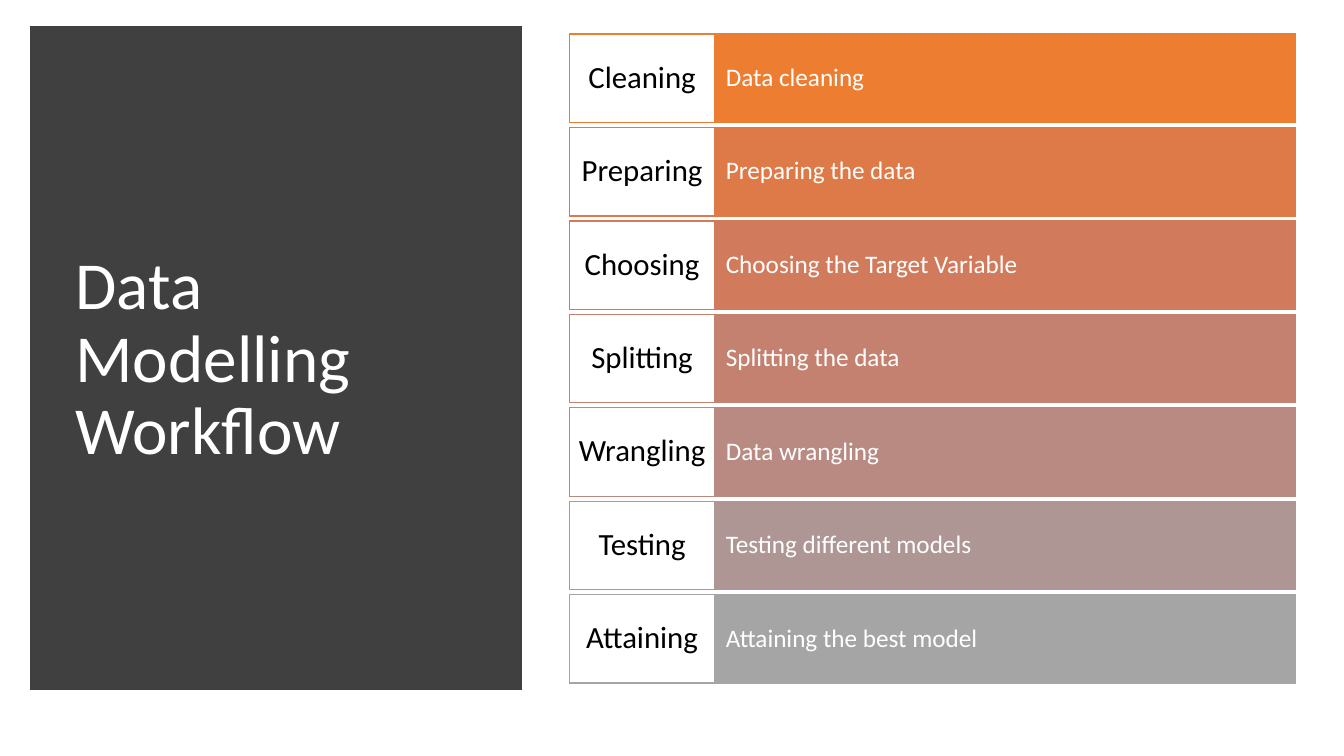
"""Build the data modelling workflow slide."""
from dataclasses import dataclass

import pptx
import pptx.dml.color
import pptx.enum.shapes
import pptx.enum.text
import pptx.oxml.ns
import pptx.util
from lxml import etree

Pt = pptx.util.Pt
Align = pptx.enum.text.PP_ALIGN

TITLE = "Data Modelling Workflow"
STEPS = [
    ("Cleaning", "Data cleaning", "ED7D31"),
    ("Preparing", "Preparing the data", "DE7A47"),
    ("Choosing", "Choosing the Target Variable", "D17B5C"),
    ("Splitting", "Splitting the data", "C48170"),
    ("Wrangling", "Data wrangling", "B98A82"),
    ("Testing", "Testing different models", "AE9694"),
    ("Attaining", "Attaining the best model", "A5A5A5"),
]


@dataclass(frozen=True)
class Theme:
    """Colours, font and type sizes."""
    font: str = "Calibri"
    panel: str = "404040"
    white: str = "FFFFFF"
    black: str = "000000"
    title: int = 48
    label: int = 22
    detail: int = 18


THEME = Theme()
PAGE = (960, 540)
PANEL = (26.64, 23.76, 341.28, 464.4)
HEAD = (46.8, 50.4, 299.52, 414)
LEFT, TOP, TALL, PITCH = 406.8, 24.3, 63.2, 66.75
LABEL, DETAIL = 103.7, 414.7


def color(code):
    """Turn a hex code into a colour."""
    return pptx.dml.color.RGBColor.from_string(code)


def add_box(shapes, area, fill, edge, width):
    """Add a square-cornered rectangle."""
    box = shapes.add_shape(
        pptx.enum.shapes.MSO_SHAPE.RECTANGLE, *map(Pt, area))
    box.shadow.inherit = False
    box.fill.solid()
    box.fill.fore_color.rgb = color(fill)
    box.line.color.rgb = color(edge)
    box.line.width = Pt(width)
    qn = pptx.oxml.ns.qn
    line = box.element.spPr.find(qn("a:ln"))
    etree.SubElement(line, qn("a:miter")).set("lim", "800000")
    return box


def write(shape, text, size, ink, align, inset):
    """Write one centred-height paragraph with side and end insets."""
    frame = shape.text_frame
    frame.word_wrap = True
    frame.auto_size = pptx.enum.text.MSO_AUTO_SIZE.NONE
    frame.vertical_anchor = pptx.enum.text.MSO_ANCHOR.MIDDLE
    side, end = map(Pt, inset)
    frame.margin_left = frame.margin_right = side
    frame.margin_top = frame.margin_bottom = end
    para = frame.paragraphs[0]
    para.alignment = align
    para.line_spacing = 0.9
    run = para.add_run()
    run.text = text
    run.font.name = THEME.font
    run.font.size = Pt(size)
    run.font.color.rgb = color(ink)


def add_title(slide):
    """Add the dark panel and the title on it."""
    panel = add_box(slide.shapes, PANEL, THEME.panel, THEME.panel, 10)
    title = slide.shapes.title
    title.left, title.top, title.width, title.height = map(Pt, HEAD)
    write(title, TITLE, THEME.title, THEME.white, Align.LEFT, (7.2, 3.6))
    title.element.addprevious(panel.element)


def add_steps(slide):
    """Add one detail bar and label box for each step."""
    group = slide.shapes.add_group_shape()
    for row, (name, detail, tint) in enumerate(STEPS):
        top = TOP + row * PITCH
        bar = add_box(group.shapes, (LEFT + LABEL, top, DETAIL, TALL),
                      tint, tint, 1)
        write(bar, detail, THEME.detail, THEME.white, Align.LEFT, (8, 16))
        box = add_box(group.shapes, (LEFT, top, LABEL, TALL),
                      THEME.white, tint, 1)
        write(box, name, THEME.label, THEME.black, Align.CENTER, (5.5, 6.3))


def main():
    """Build and save the deck."""
    deck = pptx.Presentation()
    deck.slide_width, deck.slide_height = map(Pt, PAGE)
    slide = deck.slides.add_slide(deck.slide_layouts.get_by_name("Title Only"))
    add_title(slide)
    add_steps(slide)
    deck.save("out.pptx")


if __name__ == "__main__":
    main()
